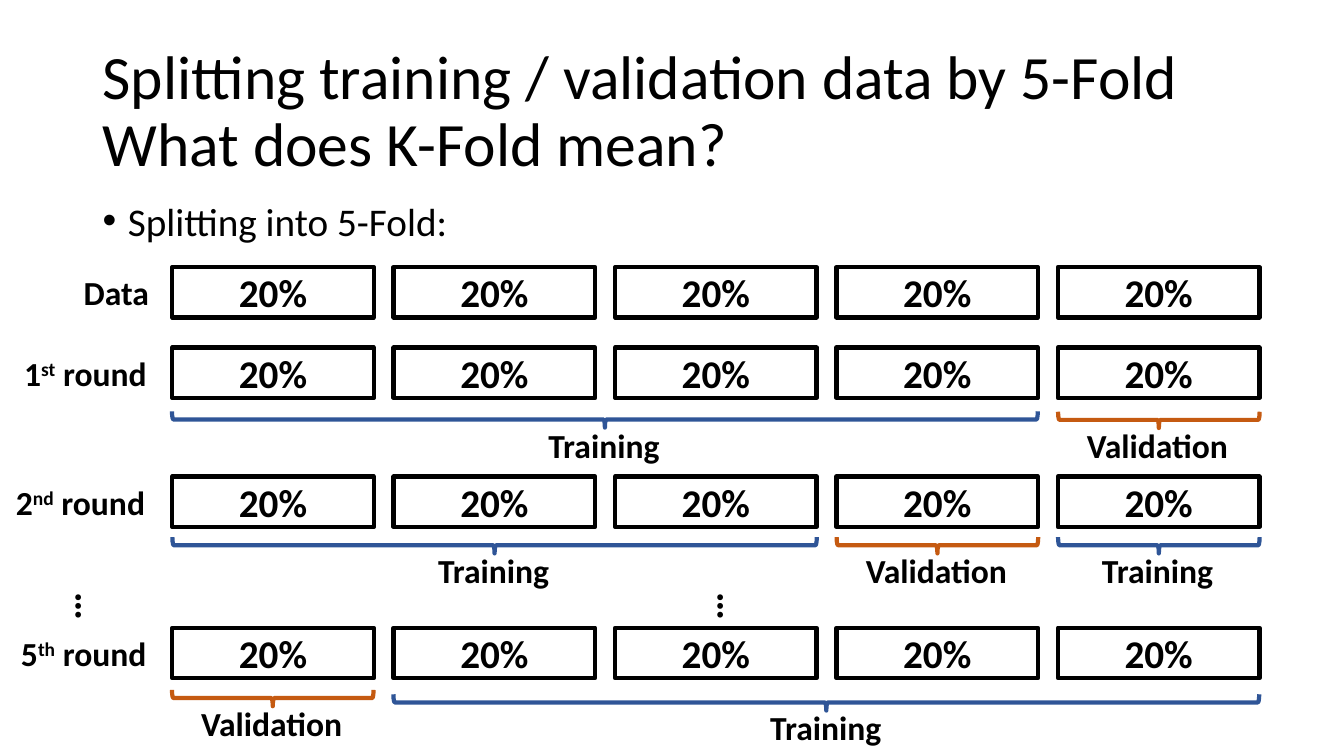
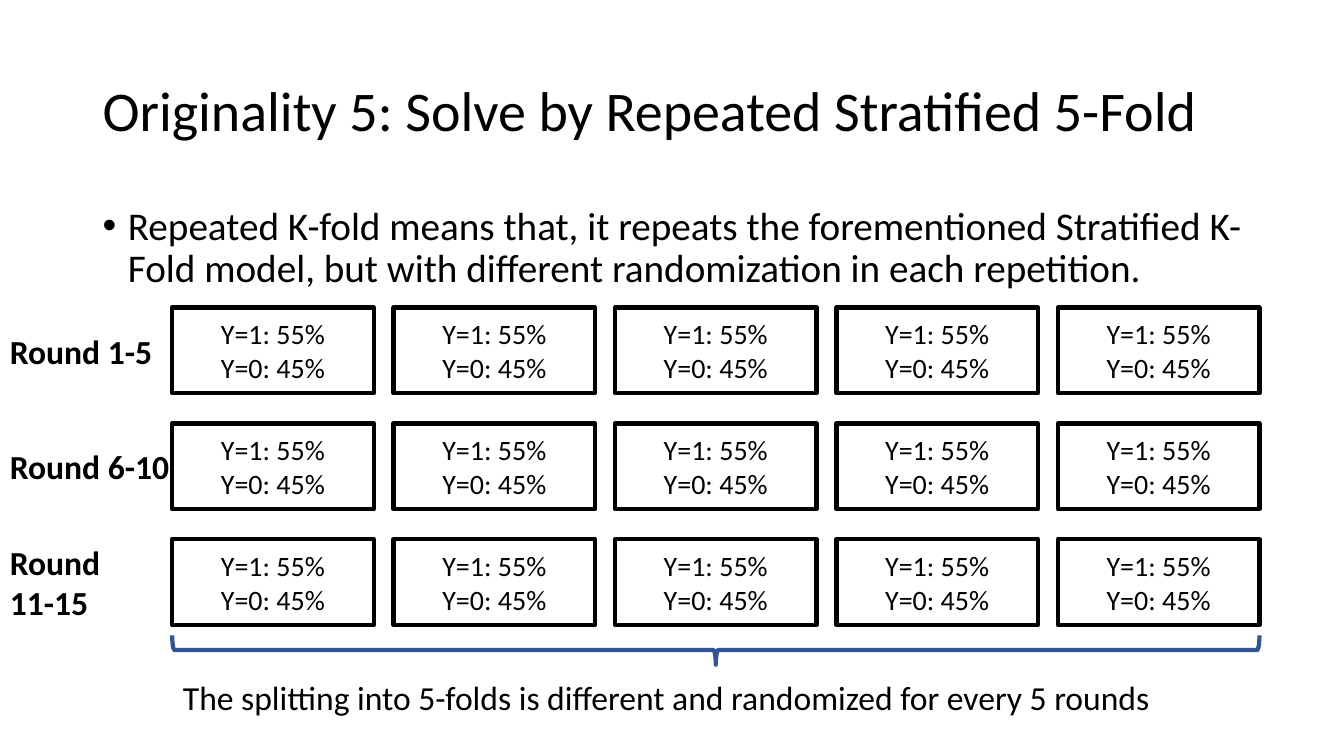
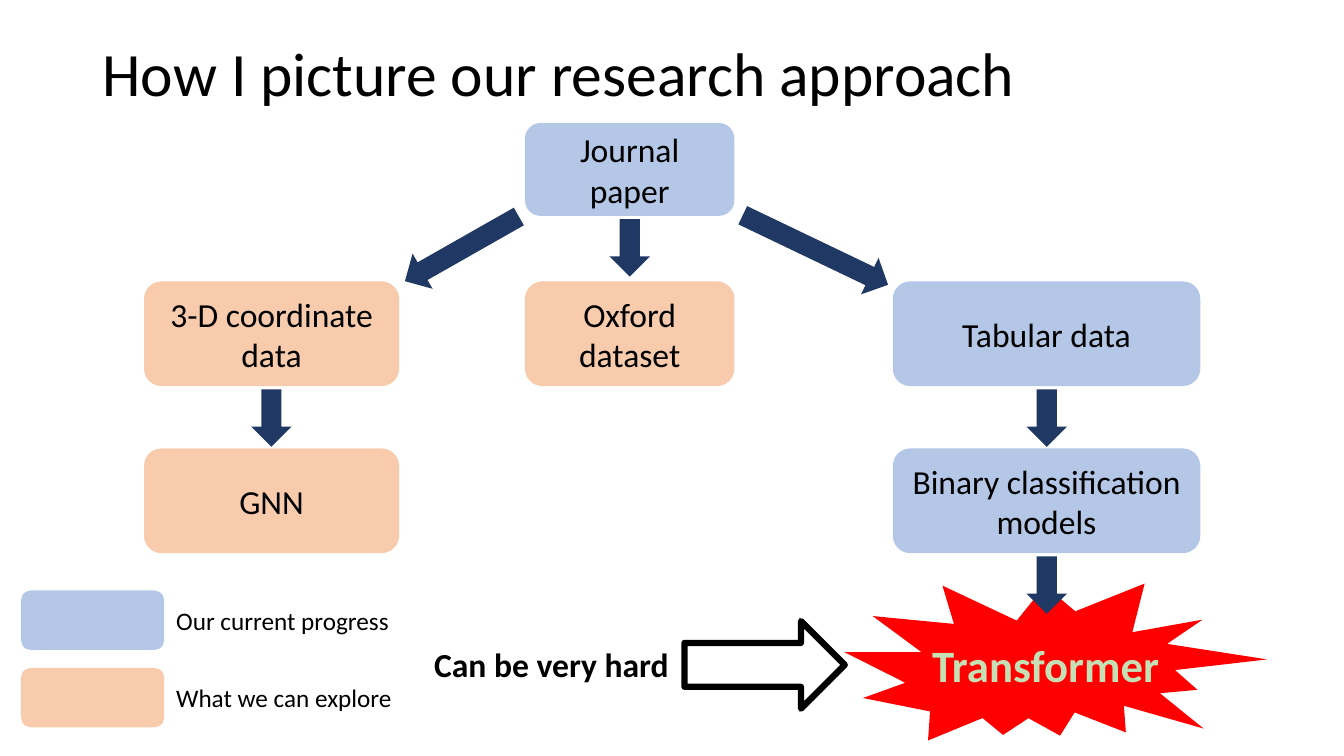
import pptx
import pptx.dml.color
import pptx.enum.shapes
import pptx.enum.text
import pptx.util

Cm = pptx.util.Cm
Pt = pptx.util.Pt
RGBColor = pptx.dml.color.RGBColor
SHAPE = pptx.enum.shapes.MSO_SHAPE
ALIGN = pptx.enum.text.PP_ALIGN
ANCHOR = pptx.enum.text.MSO_ANCHOR
AUTO_SIZE = pptx.enum.text.MSO_AUTO_SIZE

BLACK = RGBColor(0x00, 0x00, 0x00)
TRAINING_BLUE = RGBColor(0x2F, 0x55, 0x97)
VALIDATION_ORANGE = RGBColor(0xC5, 0x5A, 0x11)
PROGRESS_BLUE = RGBColor(0xB4, 0xC7, 0xE7)
EXPLORE_PEACH = RGBColor(0xF8, 0xCB, 0xAD)
ARROW_NAVY = RGBColor(0x20, 0x38, 0x64)
BURST_RED = RGBColor(0xFF, 0x00, 0x00)
PALE_GREEN = RGBColor(0xC5, 0xE0, 0xB4)

FONT = "Calibri"
SLIDE_WIDTH, SLIDE_HEIGHT = 33.87, 19.05
MARGIN, CONTENT_WIDTH = 2.33, 29.21
TITLE_HEIGHT = 3.68

FOLDS = 5
FOLD_LEFT, FOLD_WIDTH, FOLD_GAP = 4.34, 5.08, 0.5
FOLD_PITCH = FOLD_WIDTH + FOLD_GAP
LABEL_HEIGHT = 1.27

PARTS = {
    "Training": (TRAINING_BLUE, 3.35),
    "Validation": (VALIDATION_ORANGE, 4.11),
}


def lengths(box):
    return [Cm(round(value, 2)) for value in box]


def add_span(para, text, size, bold=False, color=BLACK, raised=False):
    span = para.add_run()
    span.text = text
    span.font.name = FONT
    span.font.size = Pt(size)
    span.font.bold = bold
    span.font.color.rgb = color
    if raised:
        span.font._element.set("baseline", "30000")


def write_lines(frame, lines, size, bold=False, color=BLACK, align=ALIGN.LEFT):
    for index, line in enumerate(lines):
        para = frame.paragraphs[0] if index == 0 else frame.add_paragraph()
        para.alignment = align
        add_span(para, line, size, bold, color)


def add_figure(shapes, kind, box, fill=None, line=None, weight=3, turn=0):
    figure = shapes.add_shape(kind, *lengths(box))
    figure.shadow.inherit = False
    figure.rotation = turn
    if fill is None:
        figure.fill.background()
    else:
        figure.fill.solid()
        figure.fill.fore_color.rgb = fill
    if line is None:
        figure.line.fill.background()
    else:
        figure.line.color.rgb = line
        figure.line.width = Pt(weight)
    return figure


def add_text_box(shapes, box):
    frame = shapes.add_textbox(*lengths(box)).text_frame
    frame.word_wrap = False
    frame.vertical_anchor = ANCHOR.MIDDLE
    return frame


def add_label(shapes, box, lines, size=24, bold=True, color=BLACK):
    write_lines(add_text_box(shapes, box), lines, size, bold, color)


def fill_placeholder(holder, box, spacing, anchor):
    holder.left, holder.top, holder.width, holder.height = lengths(box)
    frame = holder.text_frame
    frame.auto_size = AUTO_SIZE.NONE
    frame.vertical_anchor = anchor
    para = frame.paragraphs[0]
    para.alignment = ALIGN.LEFT
    para.line_spacing = spacing
    return para


def add_slide(deck, layout, title, top=1.01, size=44):
    slide = deck.slides.add_slide(deck.slide_layouts.get_by_name(layout))
    box = (MARGIN, top, CONTENT_WIDTH, TITLE_HEIGHT)
    para = fill_placeholder(slide.shapes.title, box, 0.9, ANCHOR.MIDDLE)
    for index, line in enumerate(title):
        if index:
            para.add_line_break()
        add_span(para, line, size)
    return slide


def add_bullet(slide, text, height, spacing):
    box = (MARGIN, 5.07, CONTENT_WIDTH, height)
    para = fill_placeholder(slide.placeholders[1], box, spacing, ANCHOR.TOP)
    para.space_before = Pt(10)
    properties = para._p.get_or_add_pPr()
    properties.set("marL", str(Cm(0.64)))
    properties.set("indent", str(Cm(-0.64)))
    add_span(para, text, 28)


def fold_span(first, last):
    return FOLD_LEFT + first * FOLD_PITCH, (last - first) * FOLD_PITCH + FOLD_WIDTH


def add_fold_row(slide, top, height, lines, size, bold):
    for fold in range(FOLDS):
        left, width = fold_span(fold, fold)
        figure = add_figure(slide.shapes, SHAPE.RECTANGLE, (left, top, width, height), line=BLACK)
        figure.text_frame.vertical_anchor = ANCHOR.MIDDLE
        write_lines(figure.text_frame, lines, size, bold, align=ALIGN.CENTER)


def add_brace(slide, box, color):
    left, top, width, depth = box
    upright = (left + (width - depth) / 2, top + (depth - width) / 2, depth, width)
    add_figure(slide.shapes, SHAPE.LEFT_BRACE, upright, line=color, turn=270)


def add_round_label(slide, top, width, pieces):
    frame = add_text_box(slide.shapes, (4.04 - width, top, width, LABEL_HEIGHT))
    for text, raised in pieces:
        add_span(frame.paragraphs[0], text, 24, True, raised=raised)


def add_part(slide, top, first, last, name):
    color, label_width = PARTS[name]
    left, width = fold_span(first, last)
    add_brace(slide, (left, top, width, 0.41), color)
    label_left = left + (width - label_width) / 2
    add_label(slide.shapes, (label_left, top + 0.2, label_width, LABEL_HEIGHT), [name])


def add_ellipsis(slide, left):
    frame = add_text_box(slide.shapes, (left, 14.68, 1.7, 0.94))
    frame.word_wrap = True
    frame.vertical_anchor = ANCHOR.TOP
    frame._txBody.bodyPr.set("vert", "eaVert")
    write_lines(frame, ["…"], 28, True)


def build_splitting(deck):
    title = ["Splitting training / validation data by 5-Fold", "What does K-Fold mean?"]
    slide = add_slide(deck, "Title and Content", title)
    add_bullet(slide, "Splitting into 5-Fold:", 1.27, 0.8)
    rows = [
        (6.73, 2.18, [("Data", False)], []),
        (8.76, 3.68, [("1", False), ("st", True), (" round", False)],
         [(1.61, 0, 3, "Training"), (1.61, 4, 4, "Validation")]),
        (12.01, 3.89, [("2", False), ("nd", True), (" round", False)],
         [(1.53, 0, 2, "Training"), (1.53, 3, 3, "Validation"), (1.53, 4, 4, "Training")]),
        (15.82, 3.76, [("5", False), ("th", True), (" round", False)],
         [(1.57, 0, 0, "Validation"), (1.67, 1, 4, "Training")]),
    ]
    for top, label_width, pieces, parts in rows:
        add_fold_row(slide, top, 1.27, ["20%"], 28, True)
        add_round_label(slide, top, label_width, pieces)
        for drop, first, last, name in parts:
            add_part(slide, top + drop, first, last, name)
    for left in (1.32, 17.5):
        add_ellipsis(slide, left)


def build_repeated(deck):
    title = ["Originality 5: Solve by Repeated Stratified 5-Fold"]
    slide = add_slide(deck, "Title and Content", title, size=40)
    add_bullet(
        slide,
        "Repeated K-fold means that, it repeats the forementioned Stratified K-Fold model, "
        "but with different randomization in each repetition.",
        2.41, 0.9)
    height = 2.16
    rounds = [
        (["Round 1-5"], 4.14, 1.27),
        (["Round 6-10"], 4.57, 1.27),
        (["Round", "11-15"], 3, 2.31),
    ]
    for index, (lines, label_width, label_height) in enumerate(rounds):
        top = 7.75 + index * 2.92
        add_fold_row(slide, top, height, ["Y=1: 55%", "Y=0: 45%"], 20, False)
        label_top = top + (height - label_height) / 2
        add_label(slide.shapes, (0, label_top, label_width, label_height), lines)
    left, width = fold_span(0, FOLDS - 1)
    add_brace(slide, (left, 16.01, width, 0.74), TRAINING_BLUE)
    caption = "The splitting into 5-folds is different and randomized for every 5 rounds"
    add_label(slide.shapes, (4.36, 16.92, 25.15, LABEL_HEIGHT), [caption], bold=False)


def add_step(slide, box, text, fill, leads_down):
    left, top, width, height = box
    figure = add_figure(slide.shapes, SHAPE.ROUNDED_RECTANGLE, box, fill)
    figure.text_frame.vertical_anchor = ANCHOR.MIDDLE
    write_lines(figure.text_frame, [text], 24, align=ALIGN.CENTER)
    if leads_down:
        return (left + (width - 1.02) / 2, top + height + 0.08, 1.02, 1.45, 0)
    return None


def add_burst(slide, box):
    left, top, width, height = box
    group = slide.shapes.add_group_shape()
    add_figure(group.shapes, SHAPE.EXPLOSION2, box, BURST_RED, turn=8.3)
    label = (left + 1.95, top + 1.53, 6.27, 1.63)
    add_label(group.shapes, label, ["Transformer"], 32, True, PALE_GREEN)


def add_warning(slide, left, top):
    add_figure(slide.shapes, SHAPE.RIGHT_ARROW, (left + 6.56, top, 4.04, 2.21), line=BLACK, weight=4.5)
    add_label(slide.shapes, (left, top + 0.46, 6.48, LABEL_HEIGHT), ["Can be very hard"])


def add_legend(slide, left, top):
    entries = [("Our current progress", PROGRESS_BLUE, 5.92), ("What we can explore", EXPLORE_PEACH, 6.02)]
    for index, (text, fill, width) in enumerate(entries):
        row_top = top + index * 1.95
        add_figure(slide.shapes, SHAPE.ROUNDED_RECTANGLE, (left, row_top, 3.61, 1.5), fill)
        add_label(slide.shapes, (left + 3.66, row_top + 0.24, width, 1.02), [text], 18, False)


def build_approach(deck):
    slide = add_slide(deck, "Title Only", ["How I picture our research approach"], top=0.08)
    coordinate, center, tabular = (3.63, 6.43), (13.23, 5.28), (22.5, 7.75)
    paper_row, data_row, model_row = (3.1, 2.34), (7.09, 2.64), (11.3, 2.64)
    steps = [
        (center, paper_row, "Journal paper", PROGRESS_BLUE, True),
        (center, data_row, "Oxford dataset", EXPLORE_PEACH, False),
        (coordinate, data_row, "3-D coordinate data", EXPLORE_PEACH, True),
        (tabular, data_row, "Tabular data", PROGRESS_BLUE, True),
        (coordinate, model_row, "GNN", EXPLORE_PEACH, False),
        (tabular, model_row, "Binary classification models", PROGRESS_BLUE, True),
    ]
    arrows = [(11.13, 4.62, 1.02, 3.3, 60.4), (20.04, 4.27, 1.02, 4.06, 295.6)]
    for (left, width), (top, height), text, fill, leads_down in steps:
        arrow = add_step(slide, (left, top, width, height), text, fill, leads_down)
        if arrow:
            arrows.append(arrow)
    add_burst(slide, (21.29, 14.4, 10.57, 4.7))
    for *box, turn in arrows:
        add_figure(slide.shapes, SHAPE.DOWN_ARROW, box, ARROW_NAVY, turn=turn)
    add_warning(slide, 10.69, 15.65)
    add_legend(slide, 0.53, 14.88)


def main():
    deck = pptx.Presentation()
    deck.slide_width = Cm(SLIDE_WIDTH)
    deck.slide_height = Cm(SLIDE_HEIGHT)
    build_splitting(deck)
    build_repeated(deck)
    build_approach(deck)
    deck.save("out.pptx")


if __name__ == "__main__":
    main()
